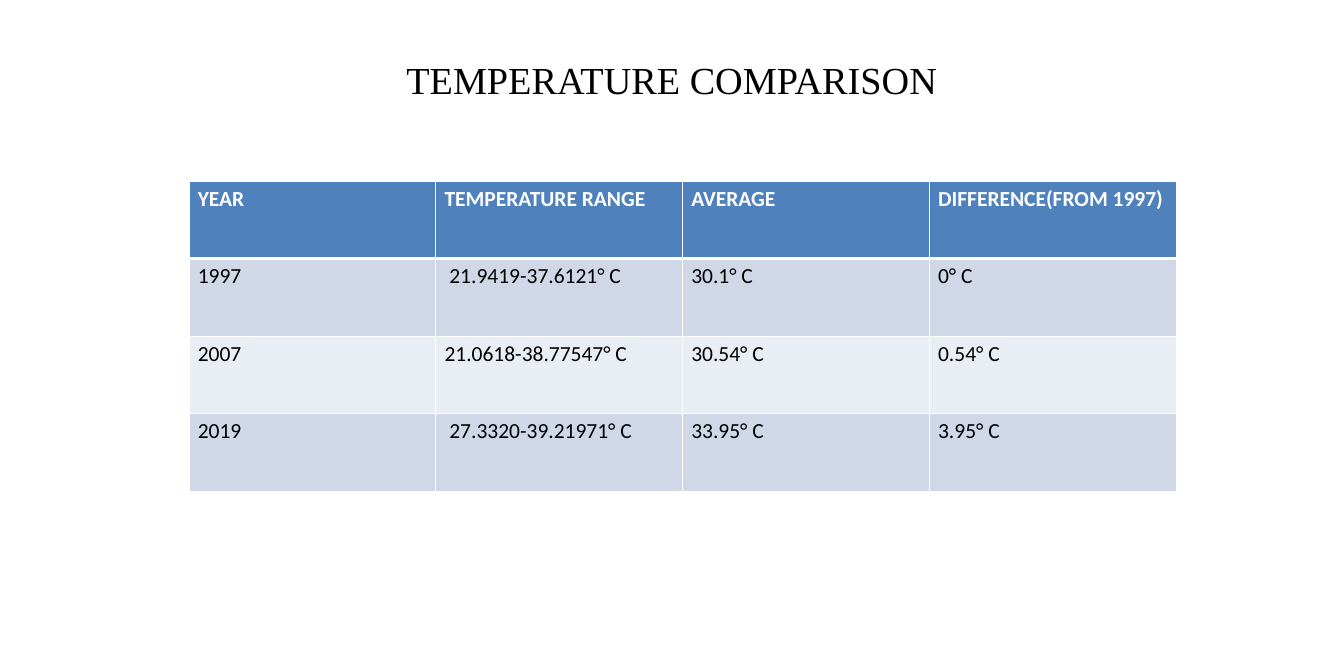
from lxml import etree
from pptx import Presentation
from pptx.dml.color import RGBColor
from pptx.enum.text import MSO_ANCHOR, PP_ALIGN
from pptx.oxml.ns import qn
from pptx.util import Inches, Pt

MIDDLE = MSO_ANCHOR.MIDDLE
CENTER = PP_ALIGN.CENTER

COLORS = {
    "text": "000000",
    "header": "4F81BD",
    "band_dark": "D0D8E8",
    "band_light": "E9EDF4",
    "white": "FFFFFF",
}

TITLE_FORMAT = {"name": "Times New Roman", "size": Pt(32)}
HEADER_FORMAT = {"name": "Calibri", "size": Pt(18), "bold": True}
BODY_FORMAT = {"name": "Calibri", "size": Pt(18), "bold": False}

TEMPERATURES = [
    ["YEAR", "TEMPERATURE RANGE", "AVERAGE", "DIFFERENCE(FROM 1997)"],
    ["1997", " 21.9419-37.6121° C", "30.1° C", "0° C"],
    ["2007", "21.0618-38.77547° C", "30.54° C", "0.54° C"],
    ["2019", " 27.3320-39.21971° C", "33.95° C", "3.95° C"],
]


class SlideBuilder:
    def __init__(self, slide, colors):
        self.slide = slide
        self.colors = colors

    def color(self, name):
        return RGBColor.from_string(self.colors[name])

    def add_text(self, frame, text, color, font_format):
        para = frame.paragraphs[0]
        span = para.add_run()
        span.text = text
        for attribute, value in font_format.items():
            setattr(span.font, attribute, value)
        span.font.color.rgb = self.color(color)
        return para

    def title(self, text, left, top, width, height):
        box = self.slide.shapes.add_textbox(
            Inches(left), Inches(top), Inches(width), Inches(height))
        frame = box.text_frame
        frame.word_wrap = True
        frame.vertical_anchor = MIDDLE
        self.add_text(frame, text, "text", TITLE_FORMAT).alignment = CENTER

    def borders(self, cell, widths):
        properties = cell._tc.get_or_add_tcPr()
        for side, width in widths.items():
            line = etree.SubElement(properties, qn(f"a:ln{side}"), w=str(Pt(width)))
            fill = etree.SubElement(line, qn("a:solidFill"))
            etree.SubElement(fill, qn("a:srgbClr"), val=self.colors["white"])

    def table(self, rows, left, top, column_width, row_height):
        column_count = len(rows[0])
        table = self.slide.shapes.add_table(
            len(rows), column_count, Inches(left), Inches(top),
            Inches(column_width * column_count),
            Inches(row_height * len(rows))).table
        for column in table.columns:
            column.width = Inches(column_width)
        for row_index, values in enumerate(rows):
            is_header = row_index == 0
            band = "band_dark" if row_index % 2 else "band_light"
            fill = "header" if is_header else band
            color = "white" if is_header else "text"
            font_format = HEADER_FORMAT if is_header else BODY_FORMAT
            # The rule under the header is thicker than the others
            widths = {"L": 1, "R": 1,
                      "T": 3 if row_index == 1 else 1,
                      "B": 3 if is_header else 1}
            for column_index, text in enumerate(values):
                cell = table.cell(row_index, column_index)
                self.borders(cell, widths)
                cell.fill.solid()
                cell.fill.fore_color.rgb = self.color(fill)
                self.add_text(cell.text_frame, text, color, font_format)


def main():
    deck = Presentation()
    deck.slide_width = Inches(15.63)
    deck.slide_height = Inches(7.5)
    page = SlideBuilder(deck.slides.add_slide(deck.slide_layouts[6]), COLORS)

    # Title
    page.title("TEMPERATURE COMPARISON", 0.78, 0.3, 14.07, 1.25)

    # Temperature table
    page.table(TEMPERATURES, 2.2, 2.11, column_width=2.87, row_height=0.9)

    deck.save("out.pptx")


if __name__ == "__main__":
    main()
